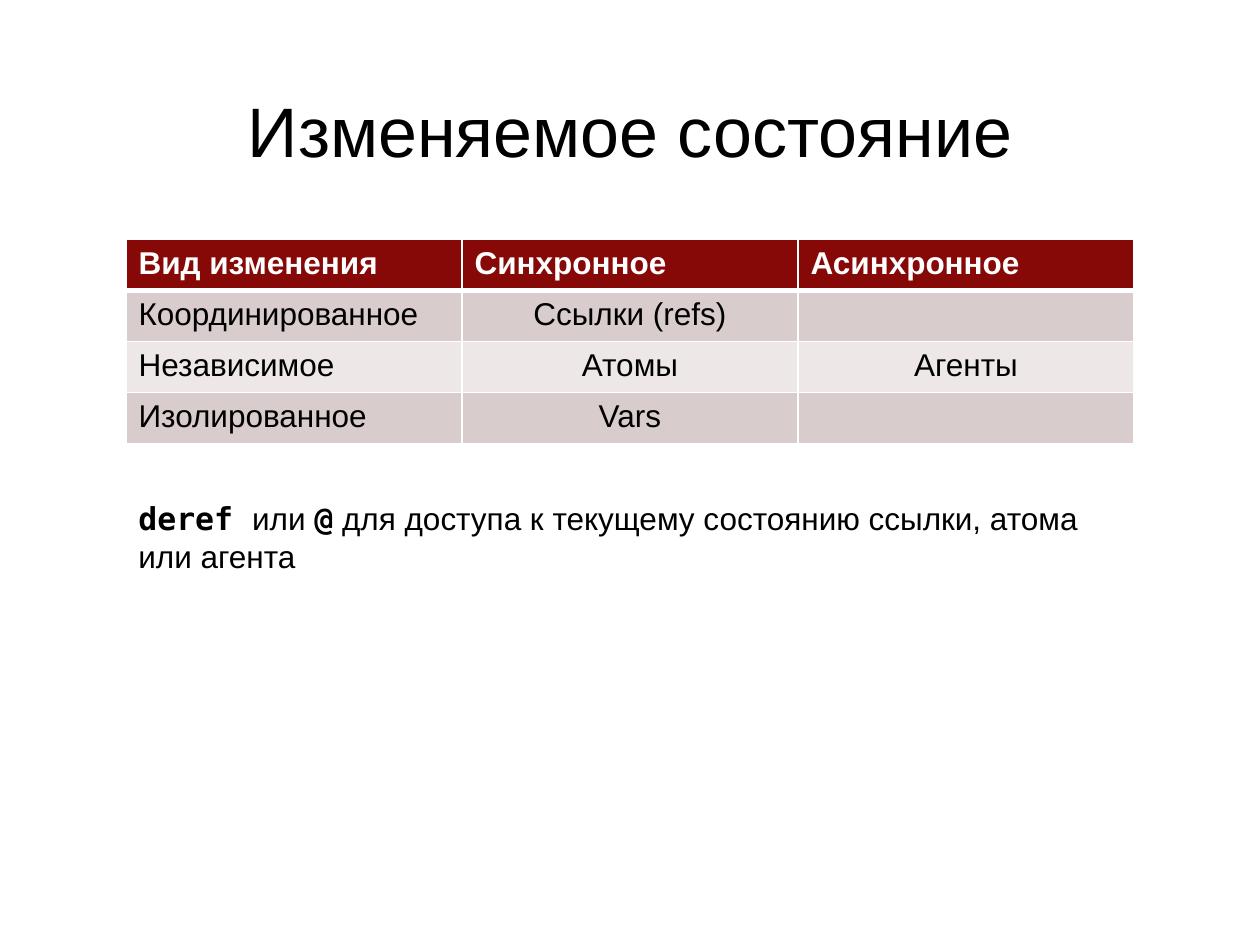
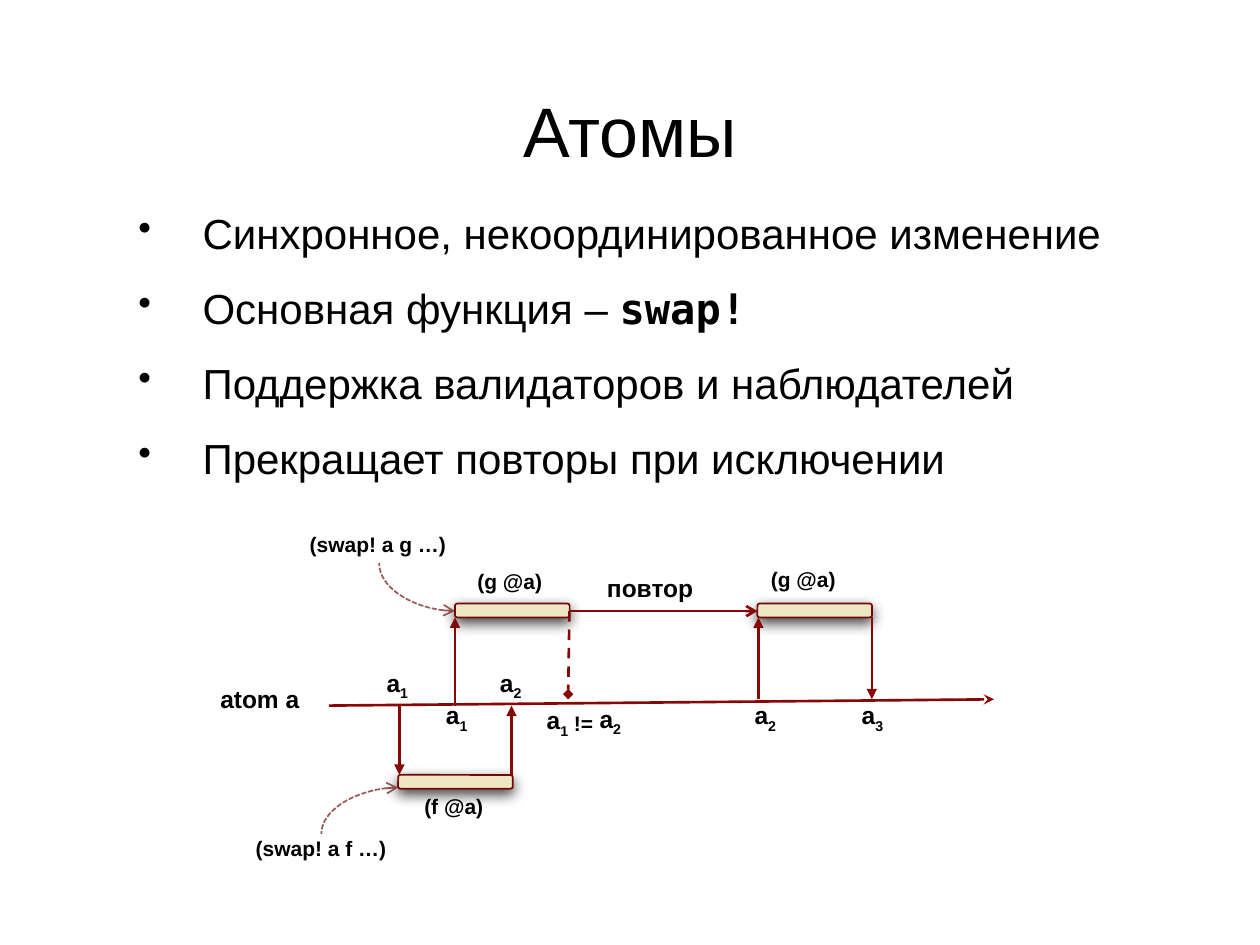
from dataclasses import dataclass
from typing import Optional

from lxml import etree
from pptx import Presentation
from pptx.dml.color import RGBColor
from pptx.enum.dml import MSO_LINE
from pptx.enum.shapes import MSO_CONNECTOR, MSO_SHAPE
from pptx.enum.text import MSO_ANCHOR, MSO_AUTO_SIZE, PP_ALIGN
from pptx.oxml.ns import qn
from pptx.util import Pt

BLACK = RGBColor(0x00, 0x00, 0x00)
WHITE = RGBColor(0xFF, 0xFF, 0xFF)
DARK_RED = RGBColor(0x86, 0x09, 0x08)
BAR_EDGE = RGBColor(0x72, 0x08, 0x08)
CURVE_RED = RGBColor(0x65, 0x07, 0x06)
CREAM = RGBColor(0xEF, 0xE7, 0xC3)
ROW_DARK = RGBColor(0xD9, 0xCC, 0xCC)
ROW_LIGHT = RGBColor(0xED, 0xE7, 0xE7)
SANS, MONO = "Arial", "DejaVu Sans Mono"
LEFT, CENTER = PP_ALIGN.LEFT, PP_ALIGN.CENTER
TOP, MIDDLE = MSO_ANCHOR.TOP, MSO_ANCHOR.MIDDLE
FIT_TEXT = MSO_AUTO_SIZE.SHAPE_TO_FIT_TEXT
ROUNDED = MSO_SHAPE.ROUNDED_RECTANGLE
STRAIGHT, CURVE = MSO_CONNECTOR.STRAIGHT, MSO_CONNECTOR.CURVE
DASH, SHORT_DASH = MSO_LINE.DASH, MSO_LINE.SQUARE_DOT

MARGIN, CONTENT_WIDTH = 72, 576
ROW_HEIGHT = 29.2
BAR_WIDTH, BAR_HEIGHT = 65.5, 7.9
UPPER_TOP, LOWER_TOP = 344.9, 442.8
UPPER_MIDDLE, UPPER_BOTTOM = 349.2, 352.8
AXIS_START, AXIS_END = 403.2, 399.6
FIRST_G, SECOND_G, F_CALL = 260, 432.8, 227.5


@dataclass(frozen=True)
class Span:
    text: str
    size: float
    bold: bool = False
    font: str = SANS
    color: RGBColor = BLACK
    subscript: bool = False


@dataclass(frozen=True)
class Label:
    left: float
    top: float
    width: float
    height: float
    spans: tuple[Span, ...]
    wrap: bool = False


@dataclass(frozen=True)
class Arrow:
    start: tuple[float, float]
    end: tuple[float, float]
    tip: str = "triangle"
    dash: Optional[MSO_LINE] = None


def call(left: float, top: float, width: float, text: str) -> Label:
    return Label(left, top, width, 21.6, (Span(text, 12, True),))


def caption(left: float, top: float, width: float, text: str) -> Label:
    return Label(left, top, width, 24.5, (Span(text, 14, True),))


def state(left: float, top: float, number: str) -> Label:
    spans = (Span("a", 14, True), Span(number, 14, True, subscript=True))
    return Label(left, top, 27.4, 24.5, spans)


def code(text: str, size: float) -> Span:
    return Span(text, size, True, MONO)


TABLE_ROWS = (
    ("Вид изменения", "Синхронное", "Асинхронное"),
    ("Координированное", "Ссылки (refs)", ""),
    ("Независимое", "Атомы", "Агенты"),
    ("Изолированное", "Vars", ""),
)
ACCESS_NOTE = Label(MARGIN, 281.5, CONTENT_WIDTH, 51, (
    code("deref ", 18),
    Span("или ", 18),
    code("@", 18),
    Span(" для доступа к текущему состоянию ссылки, атома или агента", 18),
), True)
ATOM_POINTS = (
    (Span("Синхронное, некоординированное изменение", 24),),
    (Span("Основная функция – ", 24), code("swap!", 24)),
    (Span("Поддержка валидаторов и наблюдателей", 24),),
    (Span("Прекращает повторы при исключении", 24),),
)
BARS = ((FIRST_G, UPPER_TOP), (SECOND_G, UPPER_TOP), (F_CALL, LOWER_TOP))
ARROWS = (
    Arrow((188, AXIS_START), (568, AXIS_END), "stealth"),
    Arrow((325.4, UPPER_MIDDLE), (SECOND_G, UPPER_MIDDLE), "arrow"),
    Arrow((292.3, LOWER_TOP), (292.3, AXIS_START)),
    Arrow((FIRST_G, AXIS_START), (FIRST_G, UPPER_BOTTOM)),
    Arrow((433.4, AXIS_END), (433.4, UPPER_BOTTOM)),
    Arrow((498.2, UPPER_BOTTOM), (498.2, AXIS_END)),
    Arrow((228.2, AXIS_START), (228.2, LOWER_TOP)),
    Arrow((325.4, UPPER_MIDDLE), (324.7, 396.7), "diamond", DASH),
)
CALL_CURVES = (
    Arrow((FIRST_G, UPPER_MIDDLE), (216.7, 321.8), "arrow", SHORT_DASH),
    Arrow((F_CALL, 450), (183.6, 476.6), "arrow", SHORT_DASH),
)
LABELS = (
    caption(118.8, 387.4, 59.8, "atom a"),
    call(139, 473.8, 90, "(swap! a f …)"),
    caption(339.8, 324, 64, "повтор"),
    call(235.4, 450, 48.2, "(f @a)"),
    call(265.7, 321.1, 51.8, "(g @a)"),
    call(433.4, 320.4, 51.8, "(g @a)"),
    call(169.9, 300.2, 93.6, "(swap! a g …)"),
    state(305.3, 399.6, "1"),
    Label(317.5, 402.5, 31.7, 21.6, (Span(" !=", 12, True),), True),
    state(247.7, 396.7, "1"),
    state(278.6, 378, "2"),
    state(335.5, 398.9, "2"),
    state(213.8, 378, "1"),
    state(485.3, 396.7, "3"),
    state(424.1, 396.7, "2"),
)


def add_spans(para, spans: tuple[Span, ...]) -> None:
    for span in spans:
        run = para.add_run()
        run.text = span.text
        run.font.name = span.font
        run.font.size = Pt(span.size)
        run.font.bold = span.bold
        run.font.color.rgb = span.color
        if span.subscript:
            run._r.get_or_add_rPr().set("baseline", "-25000")


def add_frame(page, left: float, top: float, width: float, height: float,
              wrap: bool = True, anchor: MSO_ANCHOR = TOP):
    box = page.shapes.add_textbox(Pt(left), Pt(top), Pt(width), Pt(height))
    frame = box.text_frame
    frame.word_wrap = wrap
    frame.vertical_anchor = anchor
    return frame


def add_label(page, label: Label) -> None:
    frame = add_frame(page, label.left, label.top, label.width, label.height, label.wrap)
    frame.auto_size = FIT_TEXT
    add_spans(frame.paragraphs[0], label.spans)


def add_page(deck, title: str):
    page = deck.slides.add_slide(deck.slide_layouts[6])
    frame = add_frame(page, MARGIN, 39.6, CONTENT_WIDTH, 68.4, anchor=MIDDLE)
    para = frame.paragraphs[0]
    para.alignment = CENTER
    add_spans(para, (Span(title, 40),))
    return page


def set_borders(cell, top: float, bottom: float) -> None:
    properties = cell._tc.get_or_add_tcPr()
    for side, width in (("L", 1), ("R", 1), ("T", top), ("B", bottom)):
        border = etree.SubElement(properties, qn(f"a:ln{side}"), w=str(Pt(width)))
        fill = etree.SubElement(border, qn("a:solidFill"))
        etree.SubElement(fill, qn("a:srgbClr"), val=str(WHITE))


def add_state_table(page) -> None:
    row_count, column_count = len(TABLE_ROWS), len(TABLE_ROWS[0])
    table = page.shapes.add_table(
        row_count, column_count, Pt(MARGIN), Pt(136.8),
        Pt(CONTENT_WIDTH), Pt(ROW_HEIGHT * row_count)).table
    for row_index, texts in enumerate(TABLE_ROWS):
        header = row_index == 0
        table.rows[row_index].height = Pt(ROW_HEIGHT)
        row_fill = DARK_RED if header else ROW_DARK if row_index % 2 else ROW_LIGHT
        for column_index, text in enumerate(texts):
            cell = table.cell(row_index, column_index)
            set_borders(cell, 3 if row_index == 1 else 1, 3 if header else 1)
            cell.fill.solid()
            cell.fill.fore_color.rgb = row_fill
            if text:
                para = cell.text_frame.paragraphs[0]
                para.alignment = LEFT if header or column_index == 0 else CENTER
                color = WHITE if header else BLACK
                add_spans(para, (Span(text, 18, header, color=color),))


def add_bullets(page, points: tuple[tuple[Span, ...], ...]) -> None:
    frame = add_frame(page, MARGIN, 115.2, CONTENT_WIDTH, 172.8)
    for index, spans in enumerate(points):
        para = frame.add_paragraph() if index else frame.paragraphs[0]
        para.space_before = Pt(14)
        properties = para._p.get_or_add_pPr()
        properties.set("marL", str(Pt(36.7)))
        properties.set("indent", str(-Pt(36.7)))
        etree.SubElement(properties, qn("a:buSzPct"), val="90000")
        etree.SubElement(properties, qn("a:buChar"), char="•")
        add_spans(para, spans)


def add_bar(page, left: float, top: float) -> None:
    bar = page.shapes.add_shape(ROUNDED, Pt(left), Pt(top), Pt(BAR_WIDTH), Pt(BAR_HEIGHT))
    bar.fill.solid()
    bar.fill.fore_color.rgb = CREAM
    bar.line.color.rgb = BAR_EDGE
    bar.line.width = Pt(1)
    bar.shadow.inherit = False
    effects = bar._element.spPr.find(qn("a:effectLst"))
    shadow = etree.SubElement(effects, qn("a:outerShdw"), blurRad=str(Pt(8)),
                              dist=str(Pt(3)), dir="5400000", rotWithShape="0")
    color = etree.SubElement(shadow, qn("a:srgbClr"), val=str(BLACK))
    etree.SubElement(color, qn("a:alpha"), val="75000")


def add_line(page, arrow: Arrow, kind: MSO_CONNECTOR, color: RGBColor,
             width: float, tip_end: str):
    line = page.shapes.add_connector(kind, *map(Pt, arrow.start + arrow.end))
    line.line.color.rgb = color
    line.line.width = Pt(width)
    if arrow.dash is not None:
        line.line.dash_style = arrow.dash
    properties = line._element.spPr
    etree.SubElement(properties.find(qn("a:ln")), qn(tip_end), type=arrow.tip)
    etree.SubElement(properties, qn("a:effectLst"))
    return line


def add_call_curve(page, arrow: Arrow) -> None:
    curve = add_line(page, arrow, CURVE, CURVE_RED, 1, "a:headEnd")
    properties = curve._element.spPr
    properties.find(qn("a:prstGeom")).set("prst", "curvedConnector2")
    color = next(properties.iter(qn("a:srgbClr")))
    etree.SubElement(color, qn("a:alpha"), val="66000")


def build_state_page(deck) -> None:
    page = add_page(deck, "Изменяемое состояние")
    add_state_table(page)
    add_label(page, ACCESS_NOTE)


def build_atom_page(deck) -> None:
    page = add_page(deck, "Атомы")
    add_bullets(page, ATOM_POINTS)
    for left, top in BARS:
        add_bar(page, left, top)
    for arrow in ARROWS:
        add_line(page, arrow, STRAIGHT, DARK_RED, 1.5, "a:tailEnd")
    for arrow in CALL_CURVES:
        add_call_curve(page, arrow)
    for label in LABELS:
        add_label(page, label)


def main() -> None:
    deck = Presentation()
    deck.slide_width, deck.slide_height = Pt(720), Pt(540)
    build_state_page(deck)
    build_atom_page(deck)
    deck.save("out.pptx")


if __name__ == "__main__":
    main()
